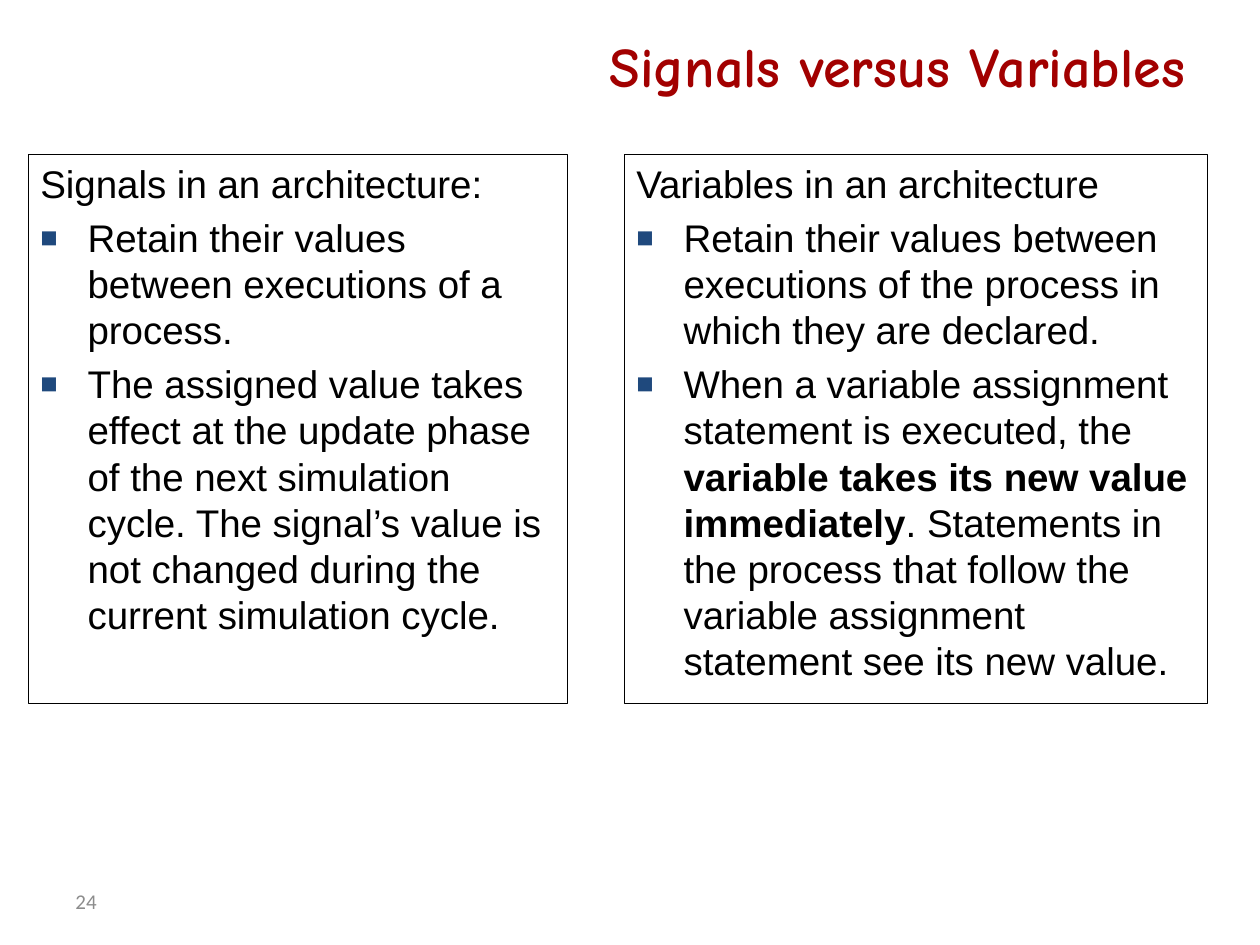
"""Build the slide that compares signals with variables."""
from lxml.etree import SubElement
from pptx import Presentation
from pptx.dml.color import RGBColor as RGB
from pptx.enum.shapes import MSO_SHAPE as Shape
from pptx.enum.text import MSO_ANCHOR as Anchor, PP_ALIGN as Align
from pptx.oxml.ns import qn
from pptx.util import Pt

TITLE = "Signals versus Variables "
PAGE_NUMBER = "24"
PANELS = [
    {
        "left": 16, "width": 308,
        "heading": "Signals in an architecture:",
        "points": [
            [("Retain their values between executions of a process.", False)],
            [("The assigned value takes effect at the update phase of the next "
              "simulation cycle. The signal’s value is not changed during the "
              "current simulation cycle.", False)],
        ],
    },
    {
        "left": 356.5, "width": 333.5,
        "heading": "Variables in an architecture",
        "points": [
            [("Retain their values between executions of the process in which "
              "they are declared.", False)],
            [("When a variable assignment statement is executed, the ", False),
             ("variable takes its new value immediately", True),
             (". Statements in the process that follow the variable assignment "
              "statement see its new value.", False)],
        ],
    },
]
PANEL_TOP, PANEL_HEIGHT, INDENT = 88, 314, 27
THEME = {
    "title": ("Comic Neue", 32, "A20000"),
    "body": ("Arial", 22, "000000"),
    "number": ("Calibri", 12, "8C8C8C"),
    "bullet": "1F497D",
    "border": "000000",
}


def style(paragraph, role, align=Align.LEFT):
    name, size, color = THEME[role]
    paragraph.alignment = align
    font = paragraph.font
    font.name, font.size = name, Pt(size)
    font.color.rgb = RGB.from_string(color)
    return font


def add_bullet(paragraph):
    props = paragraph._p.get_or_add_pPr()
    props.set("marL", str(Pt(INDENT)))
    props.set("indent", str(-Pt(INDENT)))
    color = SubElement(props, qn("a:buClr"))
    SubElement(color, qn("a:srgbClr"), val=THEME["bullet"])
    SubElement(props, qn("a:buSzPct"), val="75000")
    SubElement(props, qn("a:buFont"), typeface="Arial")
    SubElement(props, qn("a:buChar"), char="■")


def add_panel(slide, panel):
    box = slide.shapes.add_shape(
        Shape.RECTANGLE, Pt(panel["left"]), Pt(PANEL_TOP),
        Pt(panel["width"]), Pt(PANEL_HEIGHT))
    box.shadow.inherit = False
    box.fill.background()
    box.line.color.rgb = RGB.from_string(THEME["border"])
    box.line.width = Pt(0.25)
    frame = box.text_frame
    frame.word_wrap = True
    frame.vertical_anchor = Anchor.TOP
    heading = frame.paragraphs[0]
    heading.add_run().text = panel["heading"]
    for point in panel["points"]:
        paragraph = frame.add_paragraph()
        add_bullet(paragraph)
        for text, bold in point:
            run = paragraph.add_run()
            run.text = text
            if bold:
                run.font.bold = True
    size = THEME["body"][1]
    for paragraph in frame.paragraphs:
        style(paragraph, "body")
        paragraph.line_spacing = Pt(1.2 * size)
        paragraph.space_before = Pt(0.2 * size)
    heading.space_before = Pt(0)


def main():
    deck = Presentation()
    deck.slide_width, deck.slide_height = Pt(720), Pt(540)
    slide = deck.slides.add_slide(deck.slide_layouts[5])

    title = slide.shapes.title
    title.left, title.top, title.width, title.height = map(Pt, (24, 12, 672, 50.5))
    title.text_frame.text = TITLE
    title.text_frame.vertical_anchor = Anchor.MIDDLE
    style(title.text_frame.paragraphs[0], "title", Align.RIGHT).bold = True

    for panel in PANELS:
        add_panel(slide, panel)

    number = slide.shapes.add_textbox(*map(Pt, (36, 500.5, 168, 28.75))).text_frame
    number.word_wrap = True
    number.vertical_anchor = Anchor.MIDDLE
    number.text = PAGE_NUMBER
    style(number.paragraphs[0], "number")

    deck.save("out.pptx")


if __name__ == "__main__":
    main()
